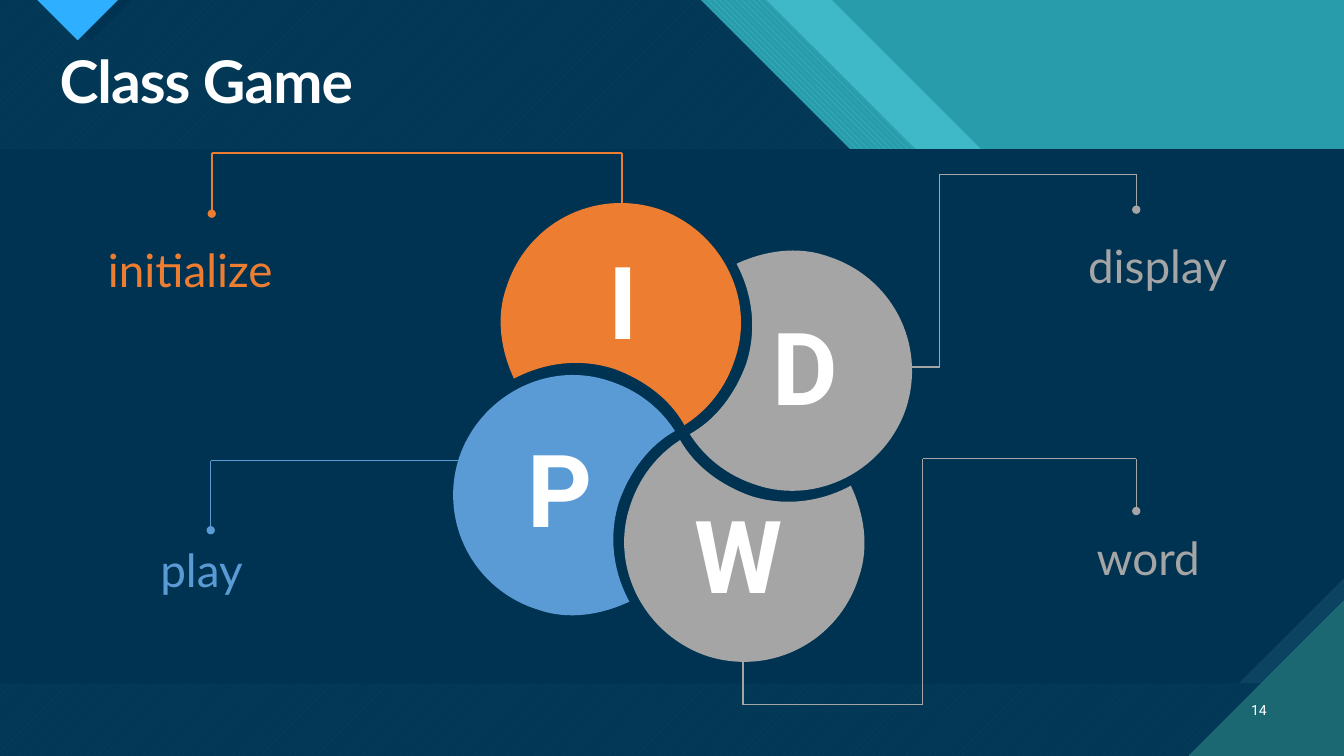
from itertools import pairwise

from lxml import etree
from pptx import Presentation
from pptx.dml.color import RGBColor
from pptx.enum.dml import MSO_PATTERN
from pptx.enum.shapes import MSO_CONNECTOR, MSO_SHAPE
from pptx.enum.text import MSO_ANCHOR, PP_ALIGN
from pptx.oxml.ns import qn
from pptx.util import Inches, Pt

LEFT, CENTER, RIGHT = PP_ALIGN.LEFT, PP_ALIGN.CENTER, PP_ALIGN.RIGHT
DOWN_DIAGONAL = MSO_PATTERN.WIDE_DOWNWARD_DIAGONAL
UP_DIAGONAL = MSO_PATTERN.WIDE_UPWARD_DIAGONAL
DARK_VERTICAL = MSO_PATTERN.DARK_VERTICAL
DARK_HORIZONTAL = MSO_PATTERN.DARK_HORIZONTAL
STRAIGHT = MSO_CONNECTOR.STRAIGHT
RECTANGLE, SNIPPED = MSO_SHAPE.RECTANGLE, MSO_SHAPE.SNIP_1_RECTANGLE
TOP = MSO_ANCHOR.TOP

WIDTH, HEIGHT = 13.33, 7.5
NAVY, TEAL, AQUA, DEEP_TEAL = "003352", "299CAB", "47C3D3", "1B6872"
ORANGE, GRAY, BLUE, WHITE = "ED7D31", "A5A5A5", "5B9BD5", "FFFFFF"


def paint(fill, color, pattern=None, back=None, opacity=100):
    """Fill with a plain colour, or with a two-colour pattern if one is given."""
    if pattern is None:
        fill.solid()
    else:
        fill.patterned()
        fill.pattern = pattern
        fill.back_color.rgb = RGBColor.from_string(back)
    fill.fore_color.rgb = RGBColor.from_string(color)
    if opacity < 100:
        color_element = fill._xPr.find(f"{qn('a:solidFill')}/{qn('a:srgbClr')}")
        etree.SubElement(color_element, qn("a:alpha"), val=str(opacity * 1000))


def add_polygon(points, *paint_options):
    corners = [(Inches(x), Inches(y)) for x, y in points]
    builder = slide.shapes.build_freeform(*corners[0])
    builder.add_line_segments(corners[1:], close=True)
    shape = builder.convert_to_shape()
    shape.shadow.inherit = False
    shape.line.fill.background()
    paint(shape.fill, *paint_options)
    return shape


presentation = Presentation()
presentation.slide_width = Inches(WIDTH)
presentation.slide_height = Inches(HEIGHT)
slide = presentation.slides.add_slide(presentation.slide_layouts[5])

backdrop = slide.shapes.add_shape(RECTANGLE, 0, 0, Inches(WIDTH), Inches(HEIGHT))
backdrop.shadow.inherit = False
backdrop.line.fill.background()
paint(backdrop.fill, TEAL)

# Background layers, each cut by a 45 degree edge that starts at the top
layers = [
    (0, 8.25, (AQUA, None, None, 74)),
    (0.66, 7.6, (AQUA, DOWN_DIAGONAL, TEAL)),
    (0, 6.95, (AQUA, UP_DIAGONAL, DEEP_TEAL)),
    (0, 6.95, (NAVY, None, None, 90)),
]
for left, edge, options in layers:
    add_polygon([(left, 0), (edge, 0), (WIDTH, WIDTH - edge), (WIDTH, HEIGHT),
                 (left, HEIGHT)], *options)

# Top marker with its shadow
add_polygon([(0.48, 0), (0.9, 0.41), (1.31, 0)], NAVY)
add_polygon([(0.37, 0), (0.77, 0.4), (1.17, 0)], "2FAFFF", DARK_HORIZONTAL, DEEP_TEAL)

# Content panel, snipped at the bottom right over a full one, and bottom corner
for snip, options in ((0, ("0C4360", DARK_VERTICAL, DEEP_TEAL)), (0.197, (NAVY,))):
    panel = slide.shapes.add_shape(SNIPPED, 0, Inches(1.48), Inches(WIDTH), Inches(5.3))
    panel.adjustments[0] = snip
    panel._element.spPr.xfrm.set("flipV", "1")
    panel.shadow.inherit = False
    panel.line.fill.background()
    paint(panel.fill, *options)
add_polygon([(11.79, HEIGHT), (WIDTH, HEIGHT), (WIDTH, 5.96)],
            DEEP_TEAL, DARK_HORIZONTAL, AQUA)

# Pinwheel: one curved petal outline, turned by a quarter for each place
petal_width, petal_height = 2.52, 2.56
petal_start = (0.85, 1.67)
petal_curves = [
    [(1.03, 1.94), (1.12, 2.25), (1.08, 2.54)],
    [(1.35, 2.56), (1.63, 2.49), (1.88, 2.31)],
    [(2.41, 1.94), (2.52, 1.19), (2.15, 0.66)],
    [(1.76, 0.12), (1.02, 0), (0.48, 0.39)],
    [(0.21, 0.57), (0.06, 0.87), (0, 1.16)],
    [(0.33, 1.21), (0.64, 1.38), petal_start],
]
petals = [
    (4.92, 1.82, 323.3, ORANGE),
    (6.7, 2.42, 53.4, GRAY),
    (6.1, 4.2, 143, GRAY),
    (4.32, 3.61, 233, BLUE),
]
for left, top, rotation, color in petals:
    petal = add_polygon([petal_start] + [curve[-1] for curve in petal_curves], color)
    petal.left, petal.top = Inches(left), Inches(top)
    petal.width, petal.height = Inches(petal_width), Inches(petal_height)
    petal.rotation = rotation
    outline = next(petal._element.iter(qn("a:path")))
    for segment in list(outline):
        outline.remove(segment)
    outline.set("w", str(petal.width))
    outline.set("h", str(petal.height))
    for tag, points in [("a:moveTo", [petal_start])] + [
            ("a:cubicBezTo", curve) for curve in petal_curves]:
        segment = etree.SubElement(outline, qn(tag))
        for x, y in points:
            etree.SubElement(segment, qn("a:pt"), x=str(Inches(x)), y=str(Inches(y)))
    etree.SubElement(outline, qn("a:close"))

# Petal letters, labels and slide number
letter_style = (1.6, 1.35, 0.13, 0.07, "Roboto", 72, True, WHITE, CENTER)
texts = [
    ("I", 5.38, 2.3, *letter_style),
    ("D", 7.19, 2.95, *letter_style),
    ("W", 6.53, 4.82, *letter_style),
    ("P", 4.76, 4.16, *letter_style),
    ("play", 1.59, 5.33, 1.01, 0.6, 0, 0.05, "Lato", 32.7, False, BLUE, LEFT),
    ("initialize", 1.07, 2.35, 2.03, 0.6, 0, 0.05, "Lato", 32.7, False, ORANGE, LEFT),
    ("display", 10.46, 2.31, 1.71, 0.6, 0, 0.05, "Lato", 32.7, False, GRAY, RIGHT),
    ("word", 10.66, 5.21, 1.24, 0.6, 0, 0.05, "Lato", 32.7, False, GRAY, RIGHT),
    ("14", 12.31, 6.91, 0.44, 0.4, 0.1, 0.05, "Roboto", 10, False, WHITE, LEFT),
]
for text, left, top, width, height, side, inset, font, size, bold, color, align in texts:
    box = slide.shapes.add_textbox(Inches(left), Inches(top), Inches(width), Inches(height))
    frame = box.text_frame
    frame.word_wrap = True
    frame.margin_left = frame.margin_right = Inches(side)
    frame.margin_top = Inches(inset)
    paragraph = frame.paragraphs[0]
    paragraph.alignment = align
    run = paragraph.add_run()
    run.text = text
    run.font.name = font
    run.font.size = Pt(size)
    run.font.bold = bold
    paint(run.font.fill, color)

# Leader lines from petals to labels, ending in a dot
leaders = [
    (ORANGE, 1.5, [(6.17, 2.12), (6.17, 1.52), (2.1, 1.52), (2.1, 2.12)]),
    (GRAY, 1, [(8.95, 3.64), (9.32, 3.64), (9.32, 1.73), (11.27, 1.73), (11.27, 2.08)]),
    (GRAY, 1, [(7.37, 6.41), (7.37, 6.99), (9.15, 6.99), (9.15, 4.55),
               (11.27, 4.55), (11.27, 5.07)]),
    (BLUE, 1, [(4.56, 4.57), (2.09, 4.57), (2.09, 5.26)]),
]
for color, weight, points in leaders:
    for begin, end in pairwise(points):
        connector = slide.shapes.add_connector(
            STRAIGHT, *(Inches(value) for value in begin + end))
        paint(connector.line.fill, color)
        connector.line.width = Pt(weight)
        etree.SubElement(connector._element.spPr, qn("a:effectLst"))
    etree.SubElement(connector.line._get_or_add_ln(), qn("a:tailEnd"), type="oval")

# Title, brought in front of the background
title = slide.shapes.title
title.left, title.top = Inches(0.49), Inches(0.47)
title.width, title.height = Inches(3.67), Inches(0.74)
title.text_frame.vertical_anchor = TOP
paragraph = title.text_frame.paragraphs[0]
paragraph.alignment = LEFT
paragraph.line_spacing = 0.9
run = paragraph.add_run()
run.text = "Class Game"
run.font.name = "Lato"
run.font.size = Pt(42)
run.font.bold = True
paint(run.font.fill, WHITE)
run.font._element.set("spc", "-70")
slide.shapes._spTree.append(title._element)

presentation.save("out.pptx")
